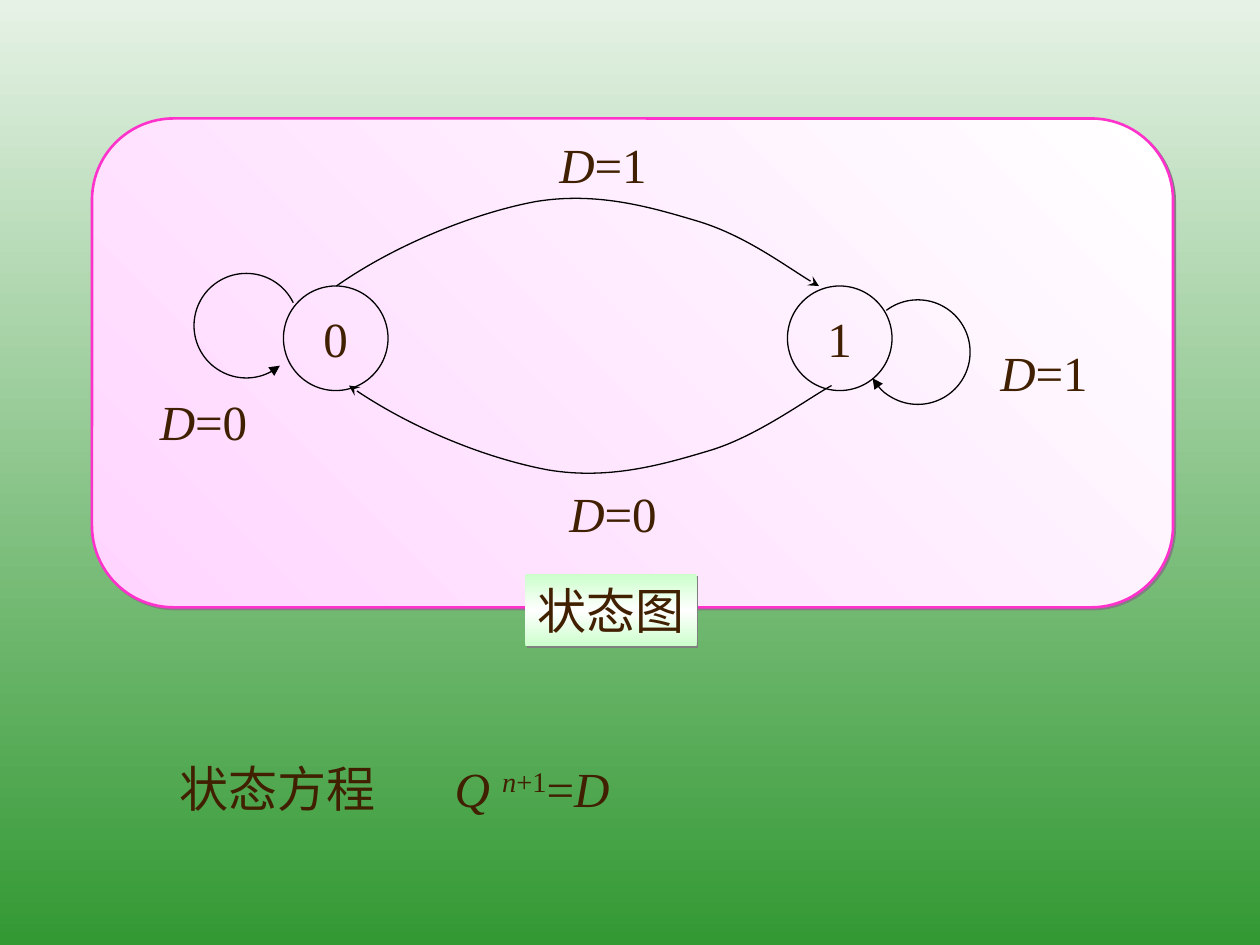
import pptx
import pptx.dml.color
import pptx.enum.dml
import pptx.enum.shapes
import pptx.enum.text
import pptx.oxml
import pptx.oxml.ns
import pptx.util
from lxml import etree

Inches = pptx.util.Inches
Pt = pptx.util.Pt
qn = pptx.oxml.ns.qn
SHAPE = pptx.enum.shapes.MSO_SHAPE

COLORS = {
    "sky": "E6F2E6",
    "grass": "339933",
    "white": "FFFFFF",
    "pink": "FFD5FF",
    "magenta": "FF33CC",
    "mint": "CCFFCC",
    "shadow": "808080",
    "ink": "402000",
    "black": "000000",
}
FONT = "Times New Roman"
STATE_SIZE = 0.83
LABEL_HEIGHT = 0.57
ARC_UNITS_PER_DEGREE = 0.6
TRANSITION = [(0, 0), (0.47, 0.33), (1.1, 0.58), (1.58, 0.67), (2.06, 0.75),
              (2.48, 0.63), (2.85, 0.52), (3.23, 0.41), (3.63, 0.11), (3.83, 0)]


def rgb(name):
    return pptx.dml.color.RGBColor.from_string(COLORS[name])


def set_gradient(fill, owner, names, clockwise):
    fill.gradient()
    fill.gradient_angle = 360 - clockwise
    stops = owner.find(".//" + qn("a:gsLst"))
    for stop in list(stops):
        stops.remove(stop)
    for i, name in enumerate(names):
        position = str(100000 * i // (len(names) - 1))
        stop = etree.SubElement(stops, qn("a:gs"), pos=position)
        etree.SubElement(stop, qn("a:srgbClr"), val=COLORS[name])


def set_line(shape, color, width, arrow_end=None, arrow_type=None):
    shape.line.color.rgb = rgb(color)
    shape.line.width = Pt(width)
    if arrow_end:
        line = shape.element.spPr.find(qn("a:ln"))
        etree.SubElement(line, qn("a:" + arrow_end), type=arrow_type)


def add_shadow(shape):
    effects = shape.element.spPr.find(qn("a:effectLst"))
    shadow = etree.SubElement(effects, qn("a:outerShdw"), blurRad="0",
                              dist=str(Pt(1.4)), dir="2700000",
                              algn="ctr", rotWithShape="0")
    etree.SubElement(shadow, qn("a:srgbClr"), val=COLORS["shadow"])


def add_plain_shape(slide, kind, left, top, width, height):
    shape = slide.shapes.add_shape(kind, Inches(left), Inches(top),
                                   Inches(width), Inches(height))
    shape.shadow.inherit = False
    shape.fill.background()
    shape.line.fill.background()
    return shape


def write(shape, runs, centered=False, tab=None):
    frame = shape.text_frame
    frame.word_wrap = tab is not None
    anchor = pptx.enum.text.MSO_ANCHOR
    frame.vertical_anchor = anchor.MIDDLE if centered else anchor.TOP
    paragraph = frame.paragraphs[0]
    align = pptx.enum.text.PP_ALIGN
    paragraph.alignment = align.CENTER if centered else align.LEFT
    if tab:
        tabs = etree.SubElement(paragraph._p.get_or_add_pPr(), qn("a:tabLst"))
        etree.SubElement(tabs, qn("a:tab"), pos=str(Inches(tab)), algn="l")
    paragraph.font.name = FONT
    paragraph.font.size = Pt(28)
    paragraph.font.color.rgb = rgb("ink")
    for text, style in runs:
        run = paragraph.add_run()
        run.text = text
        if "i" in style:
            run.font.italic = True
        if "^" in style:
            run.font._element.set("baseline", "30000")


def add_text(slide, left, top, width, runs, tab=None):
    box = slide.shapes.add_textbox(Inches(left), Inches(top),
                                   Inches(width), Inches(LABEL_HEIGHT))
    write(box, runs, tab=tab)


def add_panel(slide):
    panel = add_plain_shape(slide, SHAPE.ROUNDED_RECTANGLE, 0.73, 0.94, 8.58, 3.88)
    panel.adjustments[0] = 0.167
    set_gradient(panel.fill, panel.element, ["white", "pink"], 135)
    set_line(panel, "magenta", 1.5)
    add_shadow(panel)


def add_state(slide, left, name):
    state = add_plain_shape(slide, SHAPE.OVAL, left, 2.27, STATE_SIZE, STATE_SIZE)
    set_line(state, "black", 0.75)
    write(state, [(name, "")], centered=True)


def add_loop(slide, left, top, start, end, arrow_end):
    loop = add_plain_shape(slide, SHAPE.ARC, left, top, STATE_SIZE, STATE_SIZE)
    loop.adjustments[0] = start * ARC_UNITS_PER_DEGREE
    loop.adjustments[1] = end * ARC_UNITS_PER_DEGREE
    set_line(loop, "black", 0.75, arrow_end, "triangle")


def add_transition(slide, left, top, direction, arrow_end):
    points = [(Inches(left + x), Inches(top + direction * y)) for x, y in TRANSITION]
    builder = slide.shapes.build_freeform(*points[0])
    builder.add_line_segments(points[1:], close=False)
    curve = builder.convert_to_shape()
    curve.shadow.inherit = False
    curve.fill.background()
    outline = curve.element.find(".//" + qn("a:path"))
    segments = outline.findall(qn("a:lnTo"))
    for first in range(0, len(segments), 3):
        bezier = etree.SubElement(outline, qn("a:cubicBezTo"))
        for segment in segments[first:first + 3]:
            bezier.append(segment[0])
            outline.remove(segment)
    set_line(curve, "black", 0.75, arrow_end, "stealth")


def add_caption(slide):
    caption = add_plain_shape(slide, SHAPE.RECTANGLE, 4.17, 4.56, 1.36, LABEL_HEIGHT)
    set_gradient(caption.fill, caption.element, ["mint", "white", "mint"], 90)
    add_shadow(caption)
    write(caption, [("状态图", "")])


def main():
    deck = pptx.Presentation()
    deck.slide_width = Inches(10)
    deck.slide_height = Inches(7.5)
    slide = deck.slides.add_slide(deck.slide_layouts[6])
    set_gradient(slide.background.fill, slide.element, ["sky", "grass"], 90)

    add_panel(slide)
    add_state(slide, 2.25, "0")
    add_state(slide, 6.25, "1")
    add_transition(slide, 2.67, 2.27, -1, "tailEnd")
    add_transition(slide, 2.77, 3.06, 1, "headEnd")
    add_loop(slide, 6.87, 2.38, 233, 150, "tailEnd")
    add_loop(slide, 1.54, 2.17, 50, 334, "headEnd")

    for left, top, value in [(4.34, 1.02, 1), (4.42, 3.79, 0),
                             (1.17, 3.06, 0), (7.84, 2.67, 1)]:
        add_text(slide, left, top, 0.89, [("D", "i"), (f"={value}", "")])
    add_caption(slide)
    add_text(slide, 1.33, 5.97, 3.7,
             [("状态方程\t", ""), ("Q ", "i"), ("n", "i^"), ("+1", "^"),
              ("=", ""), ("D", "i")], tab=2.18)
    deck.save("out.pptx")


if __name__ == "__main__":
    main()
